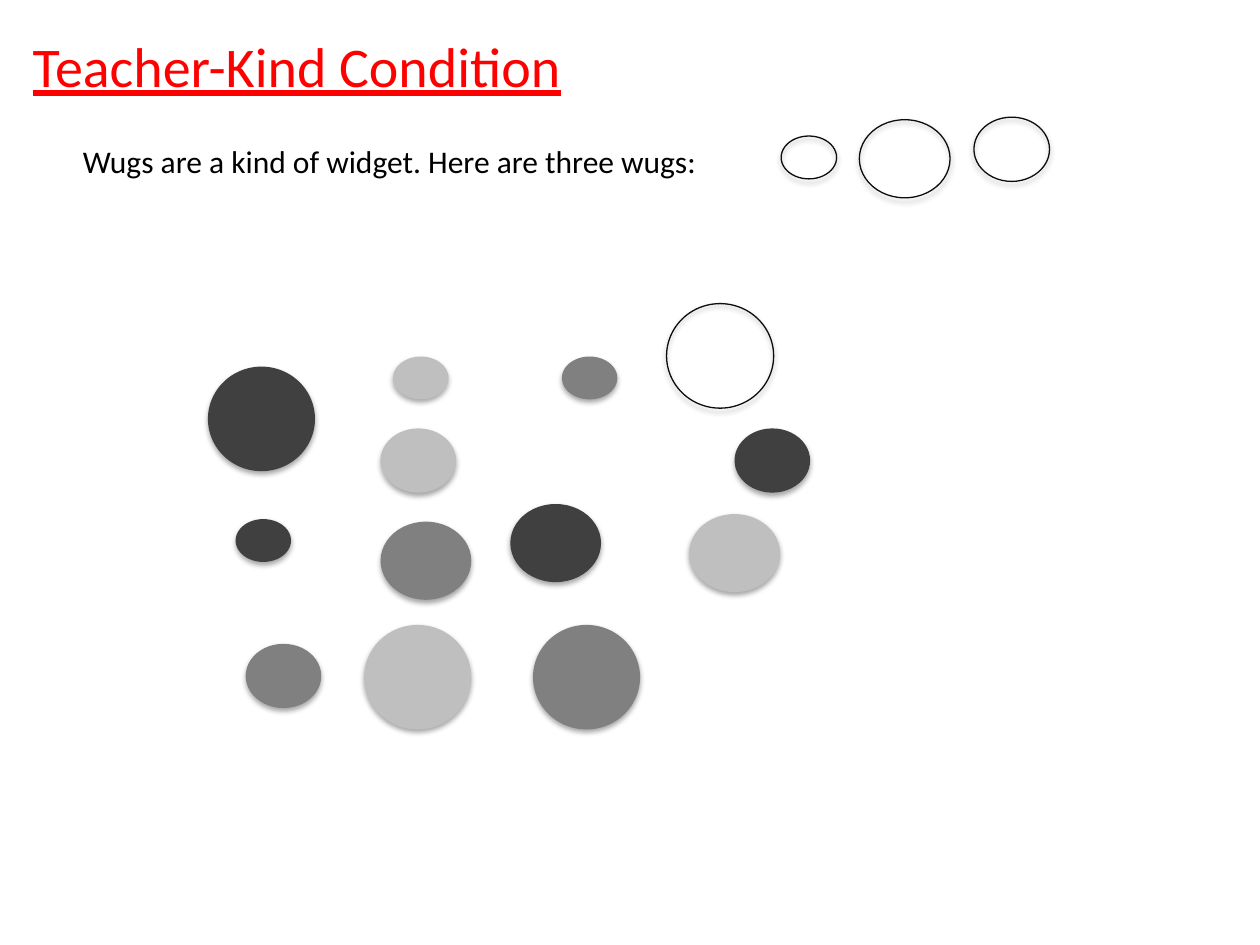
"""Build the Teacher-Kind Condition slide with its grid of wugs and widgets."""
from lxml import etree
from pptx import Presentation
from pptx.dml.color import RGBColor
from pptx.enum.shapes import MSO_SHAPE
from pptx.enum.text import MSO_ANCHOR, MSO_AUTO_SIZE, PP_ALIGN
from pptx.oxml.ns import qn
from pptx.util import Pt

OVAL = MSO_SHAPE.OVAL
TOP = MSO_ANCHOR.TOP
GROW = MSO_AUTO_SIZE.SHAPE_TO_FIT_TEXT
LEFT = PP_ALIGN.LEFT

PX = 9144
RED = RGBColor(0xFF, 0x00, 0x00)
BLACK = RGBColor(0x00, 0x00, 0x00)
OUTLINE = RGBColor(0x0D, 0x0D, 0x0D)
DARK = RGBColor(0x40, 0x40, 0x40)
MID = RGBColor(0x80, 0x80, 0x80)
LIGHT = RGBColor(0xBF, 0xBF, 0xBF)

SIZES = [(44, 34), (60, 51), (72, 62), (85, 83)]
WIDGETS = [
    (MID, [(446, 283), (195, 511), (302, 414), (423, 496)]),
    (LIGHT, [(312, 283), (302, 340), (547, 408), (289, 496)]),
    (None, [(620, 108), (773, 93), (682, 95), (529, 241)]),
    (DARK, [(187, 412), (583, 340), (405, 400), (165, 291)]),
]


def add_shadow(sp):
    sp.shadow.inherit = False
    effects = sp._element.spPr.find(qn("a:effectLst"))
    shadow = etree.SubElement(effects, qn("a:outerShdw"), blurRad=str(Pt(3.1)),
                              dist=str(Pt(1.8)), dir="5400000", rotWithShape="0")
    color = etree.SubElement(shadow, qn("a:srgbClr"), val="000000")
    etree.SubElement(color, qn("a:alpha"), val="35000")


def write(sp, text, size, color, wrap):
    tf = sp.text_frame
    tf.word_wrap = wrap
    tf.auto_size = GROW
    tf.vertical_anchor = TOP
    p = tf.paragraphs[0]
    p.alignment = LEFT
    r = p.add_run()
    r.text = text
    r.font.name = "Calibri"
    r.font.size = Pt(size)
    r.font.color.rgb = color
    return r


prs = Presentation()
prs.slide_width, prs.slide_height = 1000 * PX, 750 * PX
slide = prs.slides.add_slide(prs.slide_layouts[5])

title = slide.shapes.title
title.left, title.top, title.width, title.height = [v * PX for v in (16, 20, 448, 64)]
write(title, "Teacher-Kind Condition", 32, RED, False).font.underline = True

intro = slide.shapes.add_textbox(*[v * PX for v in (56, 108, 563, 40)])
write(intro, "Wugs are a kind of widget. Here are three wugs:", 18, BLACK, True)

for fill, spots in WIDGETS:
    for (x, y), (w, h) in zip(spots, SIZES):
        sp = slide.shapes.add_shape(OVAL, x * PX, y * PX, w * PX, h * PX)
        if fill is None:
            sp.fill.background()
            sp.line.color.rgb = OUTLINE
            sp.line.width = Pt(0.75)
        else:
            sp.fill.solid()
            sp.fill.fore_color.rgb = fill
            sp.line.fill.background()
        add_shadow(sp)

prs.save("out.pptx")
